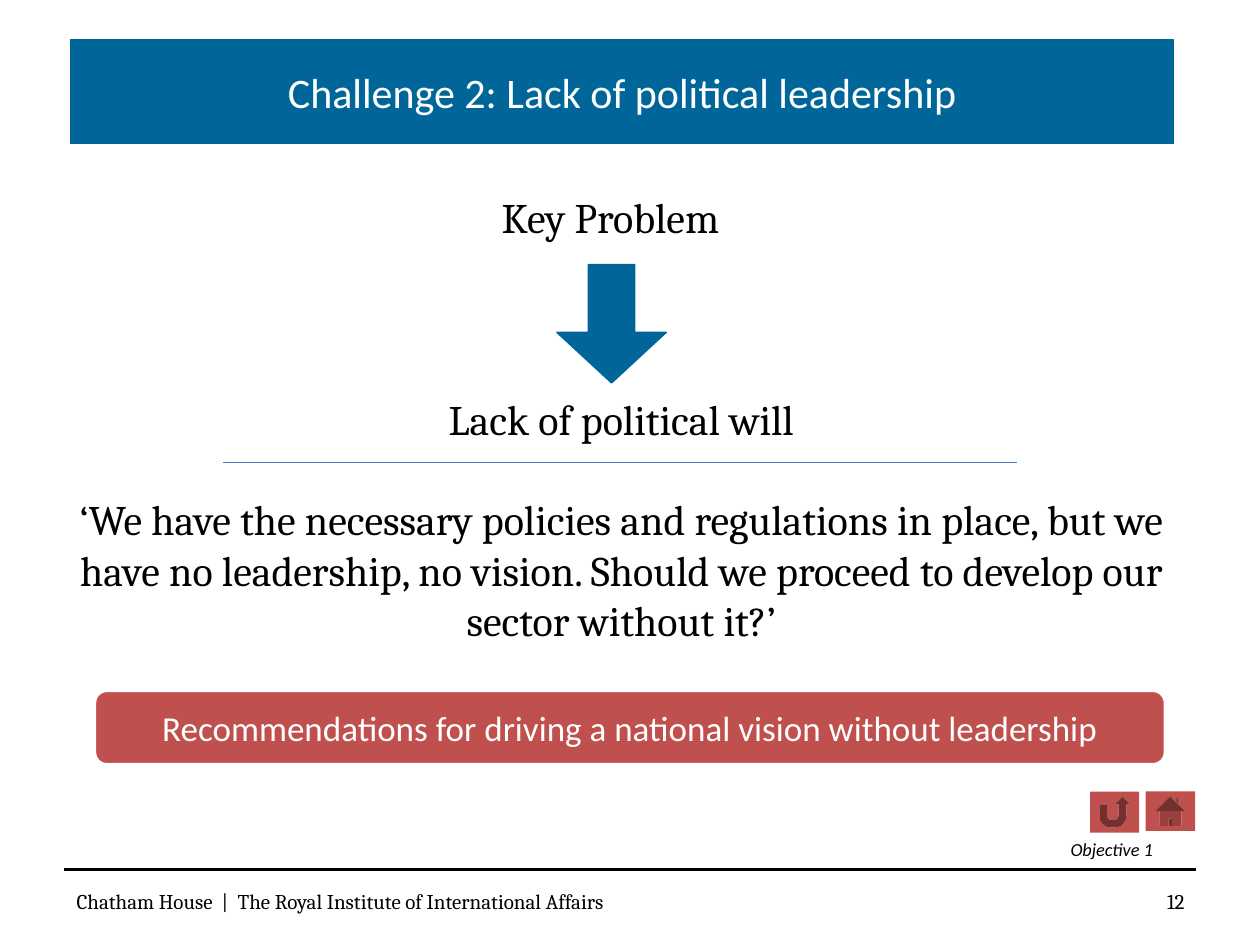
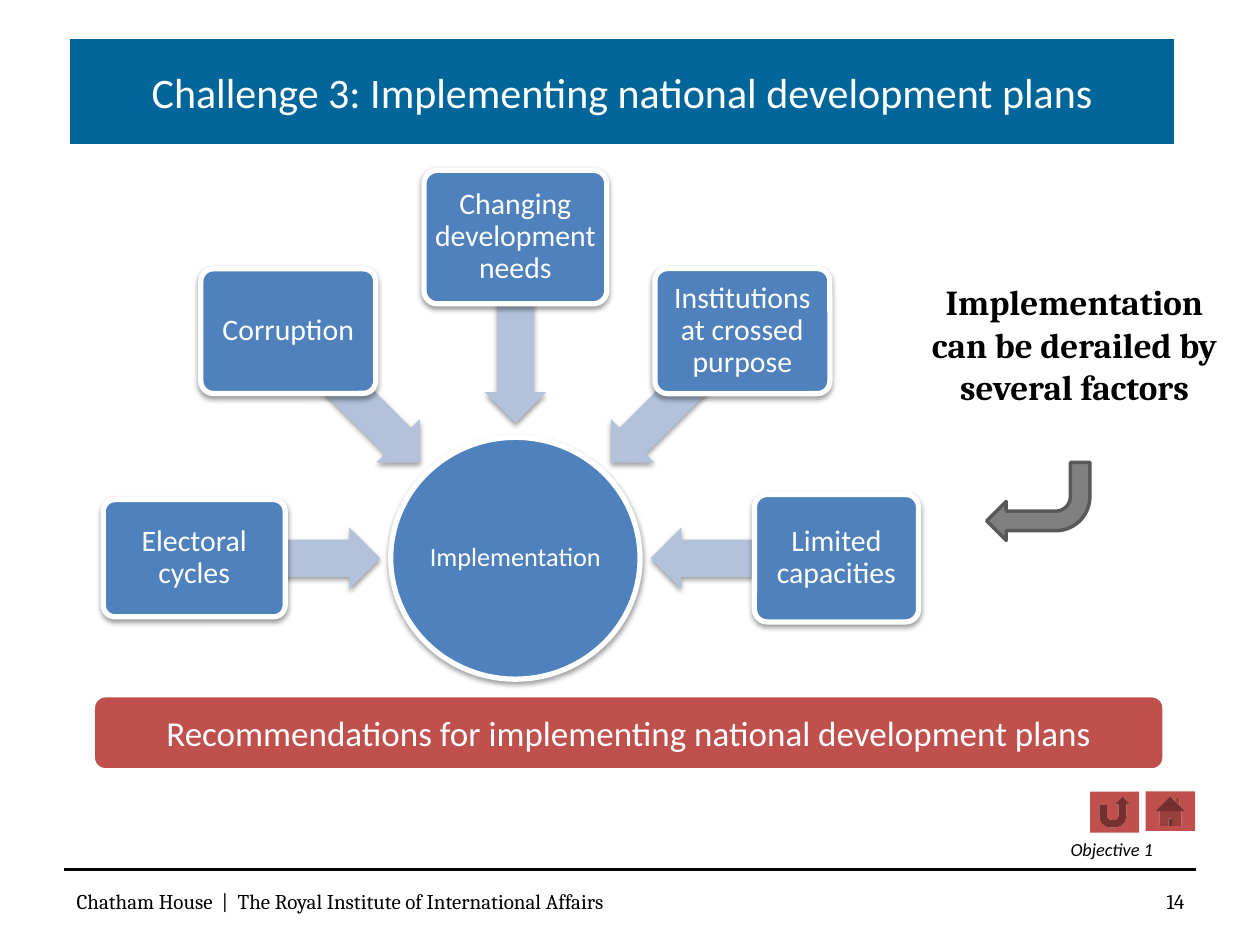
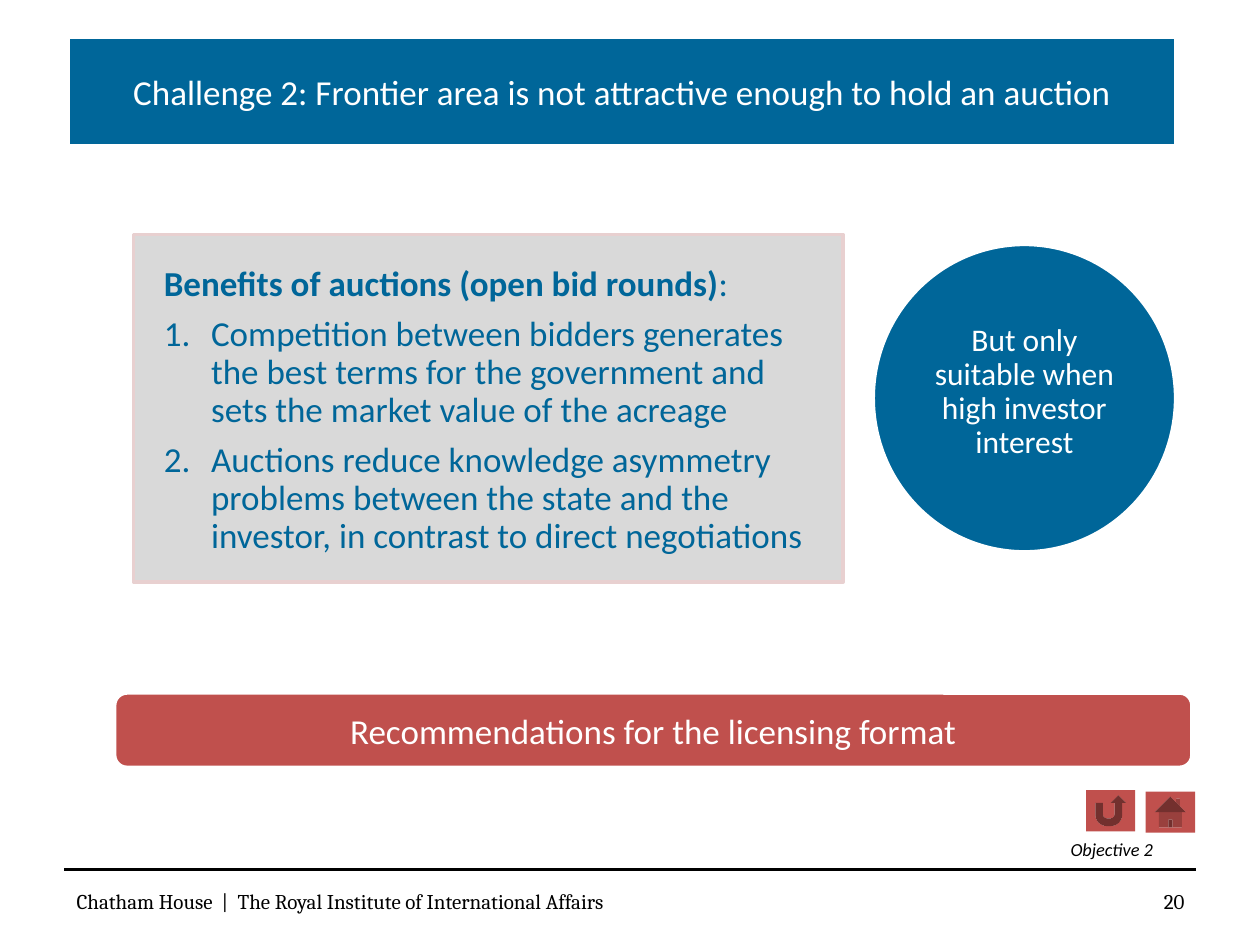
from math import cos, radians, sin

from lxml.etree import SubElement
from pptx import Presentation
from pptx.dml.color import RGBColor
from pptx.enum.shapes import MSO_CONNECTOR, MSO_SHAPE
from pptx.enum.text import MSO_ANCHOR, MSO_AUTO_SIZE, PP_ALIGN
from pptx.oxml.ns import qn
from pptx.util import Pt

COLORS = {
    "blue": "006699",
    "red": "C0504D",
    "node": "4F81BD",
    "spoke": "B3C1DB",
    "rule": "4B7EBC",
    "panel": "D9D9D9",
    "panel_edge": "E8D0D0",
    "gray": "808080",
    "dark_gray": "595959",
    "white": "FFFFFF",
    "black": "000000",
}
FOOTER = "Chatham House  |  The Royal Institute of International Affairs"
TITLE_BOX = (39, 21, 633, 62.5)
TITLE_AND_BODY, TITLE_ONLY = 1, 5


def rgb(name):
    return RGBColor.from_string(COLORS[name])


def points(values):
    return [Pt(value) for value in values]


def place(shape, box):
    shape.left, shape.top, shape.width, shape.height = points(box)


def paint(shape, fill, line=None, line_width=1):
    shape.fill.solid()
    shape.fill.fore_color.rgb = rgb(fill)
    if line:
        shape.line.color.rgb = rgb(line)
        shape.line.width = Pt(line_width)
    else:
        shape.line.fill.background()


def set_frame(shape, insets=(7.2, 3.6, 7.2, 3.6), anchor=MSO_ANCHOR.MIDDLE, wrap=True):
    frame = shape.text_frame
    frame.auto_size = MSO_AUTO_SIZE.NONE
    frame.word_wrap = wrap
    frame.vertical_anchor = anchor
    (frame.margin_left, frame.margin_top,
     frame.margin_right, frame.margin_bottom) = points(insets)


def write(shape, text, size, color="black", font="Calibri", align=PP_ALIGN.CENTER,
          bold=False, italic=False, spacing=1.0):
    shape.text_frame.text = text
    for paragraph in shape.text_frame.paragraphs:
        paragraph.alignment = align
        paragraph.line_spacing = spacing
        paragraph.space_before = Pt(0)
        for run in paragraph.runs:
            run.font.name = font
            run.font.size = Pt(size)
            run.font.bold = bold
            run.font.italic = italic
            run.font.color.rgb = rgb(color)


def set_list_style(paragraph, numbered=False):
    properties = paragraph._p.get_or_add_pPr()
    indent = Pt(27) if numbered else 0
    properties.set("marL", str(indent))
    properties.set("indent", str(-indent))
    if numbered:
        SubElement(properties, qn("a:buFont"), typeface="+mj-lt")
        SubElement(properties, qn("a:buAutoNum"), type="arabicPeriod")
    else:
        SubElement(properties, qn("a:buNone"))


def add_shape(slide, kind, box, fill, line=None, line_width=1):
    shape = slide.shapes.add_shape(kind, *points(box))
    shape.shadow.inherit = False
    paint(shape, fill, line, line_width)
    return shape


def add_soft_shadow(shape):
    effects = shape._element.spPr.find(qn("a:effectLst"))
    shadow = SubElement(effects, qn("a:outerShdw"), blurRad=str(Pt(3.1)),
                        dist=str(Pt(1.6)), dir="5400000", rotWithShape="0")
    color = SubElement(shadow, qn("a:srgbClr"), val=COLORS["black"])
    SubElement(color, qn("a:alpha"), val="38000")


def add_text(slide, box, text, size, anchor=MSO_ANCHOR.TOP, wrap=True, **style):
    shape = slide.shapes.add_textbox(*points(box))
    set_frame(shape, anchor=anchor, wrap=wrap)
    write(shape, text, size, **style)


def add_line(slide, left, right, y, color, width):
    line = slide.shapes.add_connector(MSO_CONNECTOR.STRAIGHT, *points((left, y, right, y)))
    line.line.color.rgb = rgb(color)
    line.line.width = Pt(width)
    SubElement(line._element.spPr, qn("a:effectLst"))


def set_title(slide, text, size):
    title = slide.shapes.title
    place(title, TITLE_BOX)
    geometry = SubElement(title._element.spPr, qn("a:prstGeom"), prst="roundRect")
    SubElement(geometry, qn("a:avLst"))
    paint(title, "blue", "white", 2)
    set_frame(title, (10.8,) * 4)
    write(title, text, size, "white")


def add_recommendation(slide, left, top, width, text):
    bar = add_shape(slide, MSO_SHAPE.ROUNDED_RECTANGLE, (left, top, width, 42.5),
                    "red", "white", 2)
    set_frame(bar, (10.8,) * 4)
    write(bar, text, 20, "white")


def add_navigation(slide, objective, return_left=623, return_top=452.3, home_height=22.5):
    add_shape(slide, MSO_SHAPE.ACTION_BUTTON_RETURN, (return_left, return_top, 28, 23.5), "red")
    add_shape(slide, MSO_SHAPE.ACTION_BUTTON_HOME, (654.7, 452.3, 28.2, home_height), "red")
    add_text(slide, (604, 475.2, 62.6, 20), objective, 10.5, wrap=False, italic=True)


def add_footer(slide, number):
    add_line(slide, 36.7, 683.3, 496.8, "black", 1.5)
    add_text(slide, (36.7, 500.4, 437, 28.8), FOOTER, 12, MSO_ANCHOR.MIDDLE,
             font="Cambria", align=PP_ALIGN.LEFT)
    add_text(slide, (516.2, 500.4, 167.8, 28.8), str(number), 12, MSO_ANCHOR.MIDDLE,
             font="Cambria", align=PP_ALIGN.RIGHT)


def start_slide(presentation, layout, title, title_size):
    slide = presentation.slides.add_slide(presentation.slide_layouts[layout])
    set_title(slide, title, title_size)
    return slide


def add_node(slide, kind, box, text, size, inset):
    node = add_shape(slide, kind, box, "node", "white", 3)
    add_soft_shadow(node)
    set_frame(node, (inset,) * 4)
    write(node, text, size, "white", spacing=0.9)
    return node


def centered_box(center, radius, angle, width, height):
    x = center[0] + radius * cos(radians(angle))
    y = center[1] + radius * sin(radians(angle))
    return (round(x - width / 2, 2), round(y - height / 2, 2), width, height)


def add_factor_diagram(slide):
    center = (294.5, 319)
    factors = [
        ("Electoral cycles", 104, 67),
        ("Corruption", 100, 71.2),
        ("Changing development needs", 104.5, 76.3),
        ("Institutions at crossed purpose", 100, 71.5),
        ("Limited capacities", 93.8, 72.8),
    ]
    add_node(slide, MSO_SHAPE.OVAL, centered_box(center, 0, 0, 142.5, 138.2),
             "Implementation", 15, 0.7)
    for index, (text, width, height) in enumerate(factors):
        angle = 180 + 45 * index
        arrow = add_shape(slide, MSO_SHAPE.LEFT_ARROW,
                          centered_box(center, 130.5, angle, 106.5, 35.3), "spoke")
        arrow.rotation = angle % 360
        arrow.adjustments[0] = 0.6
        arrow.adjustments[1] = 0.5
        add_soft_shadow(arrow)
        node = add_node(slide, MSO_SHAPE.ROUNDED_RECTANGLE,
                        centered_box(center, 183.5, angle, width, height), text, 17, 2.7)
        node.adjustments[0] = 0.1


def build_leadership(presentation):
    slide = start_slide(presentation, TITLE_AND_BODY,
                        "Challenge 2: Lack of political leadership", 24)
    body = slide.placeholders[1]
    place(body, (20.2, 221, 669.6, 155))
    set_frame(body, anchor=MSO_ANCHOR.TOP)
    write(body, "Lack of political will\n‘We have the necessary policies and regulations in "
                "place, but we have no leadership, no vision. Should we proceed to develop our "
                "sector without it?’", 24, font="Cambria")
    for paragraph in body.text_frame.paragraphs:
        set_list_style(paragraph)
    body.text_frame.paragraphs[1].space_before = Pt(28.8)
    add_text(slide, (198.8, 105.8, 300, 36), "Key Problem", 24, font="Cambria")
    arrow = add_shape(slide, MSO_SHAPE.DOWN_ARROW, (318.2, 151.2, 62.6, 67.7),
                      "blue", "blue", 0.75)
    arrow.adjustments[0] = 0.423
    arrow.adjustments[1] = 0.462
    add_line(slide, 127.4, 581, 264.2, "rule", 0.75)
    add_recommendation(slide, 54, 394.5, 612,
                       "Recommendations for driving a national vision without leadership")
    add_navigation(slide, "Objective 1")
    add_footer(slide, 12)


def build_implementation(presentation):
    slide = start_slide(presentation, TITLE_ONLY,
                        "Challenge 3: Implementing national development plans", 24)
    add_factor_diagram(slide)
    add_text(slide, (519, 157, 190, 104.4), "Implementation can be derailed by several factors",
             20, font="Cambria", bold=True)
    pointer = add_shape(slide, MSO_SHAPE.BENT_ARROW, (563.8, 264.2, 59, 44.6),
                        "gray", "dark_gray", 2)
    pointer.rotation = 180
    add_recommendation(slide, 53.3, 397.5, 612,
                       "Recommendations for implementing national development plans")
    add_navigation(slide, "Objective 1")
    add_footer(slide, 14)


def build_auctions(presentation):
    slide = start_slide(presentation, TITLE_AND_BODY,
                        "Challenge 2: Frontier area is not attractive enough to hold an auction", 20)
    heading = "Benefits of auctions (open bid rounds)"
    benefits = [
        "Competition between bidders generates the best terms for the government "
        "and sets the market value of the acreage",
        "Auctions reduce knowledge asymmetry problems between the state and the "
        "investor, in contrast to direct negotiations",
    ]
    body = slide.placeholders[1]
    place(body, (76.3, 134, 405.4, 198.7))
    paint(body, "panel", "panel_edge", 2)
    set_frame(body, (17.3, 3, 12, 0))
    write(body, "\n".join([heading] + benefits), 20, "blue", align=PP_ALIGN.LEFT, spacing=0.9)
    for index, paragraph in enumerate(body.text_frame.paragraphs):
        paragraph.space_after = Pt(7)
        set_list_style(paragraph, numbered=index > 0)
    first = body.text_frame.paragraphs[0]
    first.runs[0].font.bold = True
    colon = first.add_run()
    colon.text = ":"
    colon.font.name = "Calibri"
    colon.font.size = Pt(20)
    colon.font.color.rgb = rgb("blue")

    condition = add_shape(slide, MSO_SHAPE.OVAL, (499, 139.7, 172.8, 175.7), "blue", "white", 2)
    set_frame(condition, (0, 0, 0, 6.5))
    write(condition, "But only suitable when high investor interest", 18, "white", spacing=0.9)
    add_recommendation(slide, 65.5, 396, 615.6, "Recommendations for the licensing format")
    add_navigation(slide, "Objective 2", 620.7, 451.5, 23.5)
    add_footer(slide, 20)


def main():
    presentation = Presentation()
    presentation.slide_width, presentation.slide_height = Pt(720), Pt(540)
    build_leadership(presentation)
    build_implementation(presentation)
    build_auctions(presentation)
    presentation.save("out.pptx")


if __name__ == "__main__":
    main()
